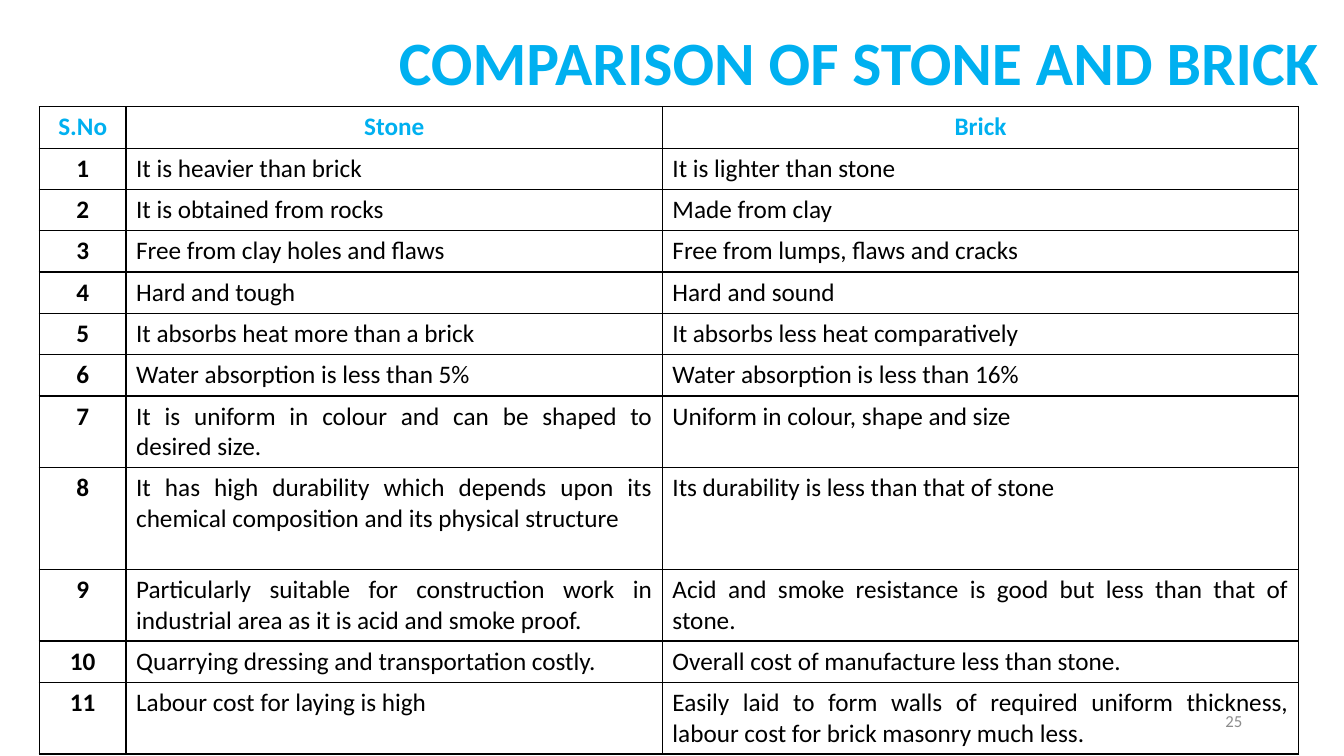
from lxml.etree import SubElement as Sub
from pptx import Presentation
from pptx.dml.color import RGBColor
from pptx.enum.text import MSO_ANCHOR as Anchor, MSO_AUTO_SIZE as Auto, PP_ALIGN as Align
from pptx.oxml.ns import qn
from pptx.util import Inches, Pt

BLUE, BLACK, GRAY = "00B0F0", "000000", "8C8C8C"
TITLE = "COMPARISON OF STONE AND BRICK"
PAGE = "25"
HEAD = ("S.No", "Stone", "Brick")
# Stone, brick, lines of text the row holds
PAIRS = [
    ("It is heavier than brick", "It is lighter than stone", 1),
    ("It is obtained from rocks", "Made from clay", 1),
    ("Free from clay holes and flaws", "Free from lumps, flaws and cracks", 1),
    ("Hard and tough", "Hard and sound", 1),
    ("It absorbs heat more than a brick", "It absorbs less heat comparatively", 1),
    ("Water absorption is less than 5%", "Water absorption is less than 16%", 1),
    ("It is uniform in colour and can be shaped to desired size.",
     "Uniform in colour, shape and size", 2),
    ("It has high durability which depends upon its chemical composition "
     "and its physical structure",
     "Its durability is less than that of stone", 3),
    ("Particularly suitable for construction work in industrial area "
     "as it is acid and smoke proof.",
     "Acid and smoke resistance is good but less than that of stone.", 2),
    ("Quarrying dressing and transportation costly.",
     "Overall cost of manufacture less than stone.", 1),
    ("Labour cost for laying is high",
     "Easily laid to form walls of required uniform thickness, "
     "labour cost for brick masonry much less.", 2),
]
COLS = (0.86, 5.32, 6.31)
LINE, PAD = 0.3, 0.11


def style(para, size, color, bold=False, align=Align.CENTER):
    para.alignment = align
    font = para.font
    font.name, font.size, font.bold = "Calibri", Pt(size), bold
    font.color.rgb = RGBColor.from_string(color)


def border(cell, color=BLACK, width=1):
    props = cell._tc.get_or_add_tcPr()
    for side in ("a:lnL", "a:lnR", "a:lnT", "a:lnB"):
        line = Sub(props, qn(side), w=str(Pt(width)))
        Sub(Sub(line, qn("a:solidFill")), qn("a:srgbClr"), val=color)


def add_title(slide):
    title = slide.shapes.title
    title.left, title.top, title.width, title.height = map(
        Inches, (1.69, 0.06, 11.5, 1.19))
    frame = title.text_frame
    frame.text = TITLE
    frame.auto_size = Auto.NONE
    frame.vertical_anchor = Anchor.MIDDLE
    para = frame.paragraphs[0]
    para.line_spacing = 0.9
    style(para, 44, BLUE, True, Align.RIGHT)


def add_grid(slide):
    rows = [HEAD] + [(str(n), stone, brick)
                     for n, (stone, brick, _) in enumerate(PAIRS, 1)]
    highs = [PAD + LINE * n for n in [1] + [pair[2] for pair in PAIRS]]
    table = slide.shapes.add_table(
        len(rows), len(COLS), Inches(0.39), Inches(1.06),
        Inches(sum(COLS)), Inches(sum(highs))).table
    table.horz_banding = False
    for col, wide in zip(table.columns, COLS):
        col.width = Inches(wide)
    for r, (row, high) in enumerate(zip(rows, highs)):
        table.rows[r].height = Inches(high)
        for c, text in enumerate(row):
            cell = table.cell(r, c)
            cell.text = text
            border(cell)
            cell.fill.background()
            strong = r == 0 or c == 0
            style(cell.text_frame.paragraphs[0], 18, BLACK if r else BLUE,
                  strong, Align.CENTER if strong else Align.JUSTIFY)


def add_page(slide):
    frame = slide.shapes.add_textbox(
        *map(Inches, (9.42, 6.95, 3, 0.4))).text_frame
    frame.word_wrap = True
    frame.vertical_anchor = Anchor.MIDDLE
    frame.text = PAGE
    style(frame.paragraphs[0], 12, GRAY, align=Align.RIGHT)


def main():
    deck = Presentation()
    deck.slide_width, deck.slide_height = Inches(13.33), Inches(7.5)
    slide = deck.slides.add_slide(deck.slide_layouts[5])
    add_title(slide)
    add_grid(slide)
    add_page(slide)
    deck.save("out.pptx")


if __name__ == "__main__":
    main()
